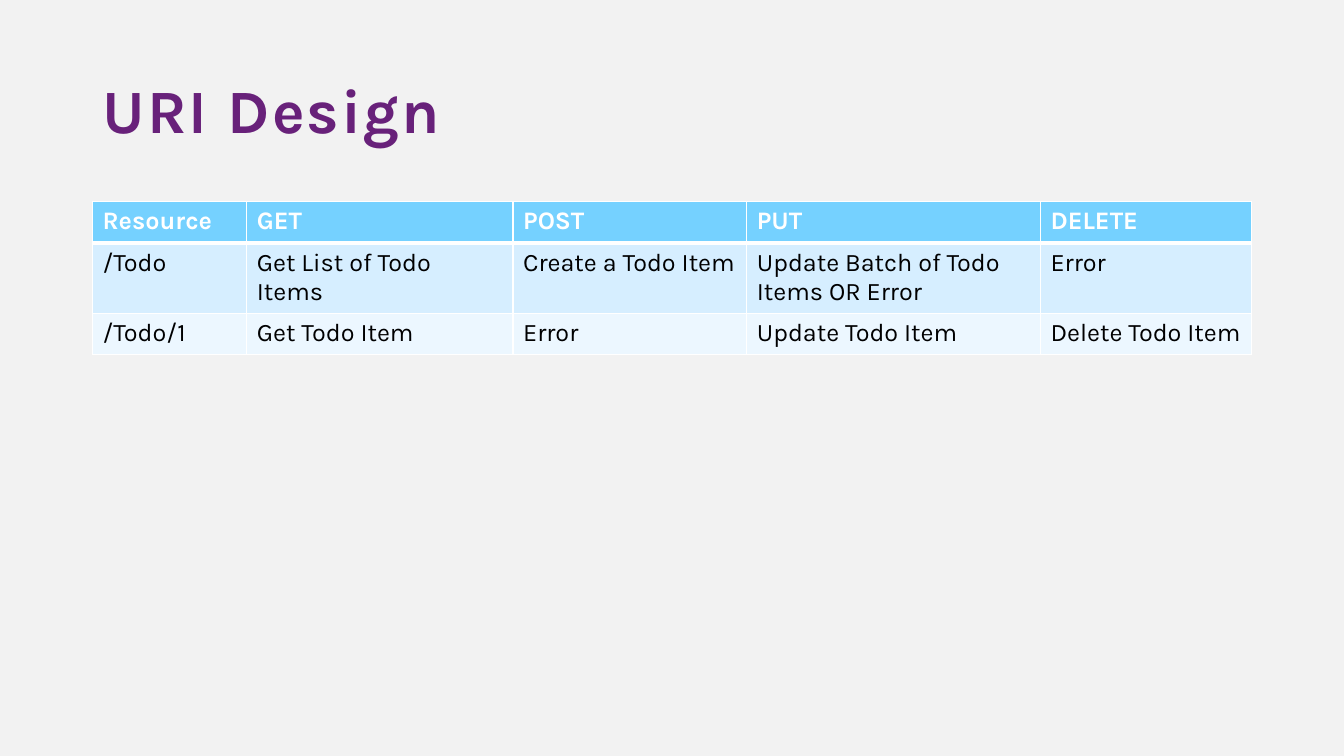
from lxml import etree
from pptx import Presentation
from pptx.dml.color import RGBColor
from pptx.enum import text
from pptx.oxml import ns
from pptx.util import Cm, Pt

FONT = "Karla"
WHITE = "FFFFFF"
ROWS = [
    ["Resource", "GET", "POST", "PUT", "DELETE"],
    ["/Todo", "Get List of Todo Items", "Create a Todo Item",
     "Update Batch of Todo Items OR Error", "Error"],
    ["/Todo/1", "Get Todo Item", "Error", "Update Todo Item", "Delete Todo Item"],
]
ROW_FILLS = ["75D1FF", "D6EEFF", "ECF7FF"]
ROW_HEIGHTS = [1.04, 1.75, 1.04]
COLUMN_WIDTHS = [3.89, 6.71, 5.89, 7.4, 5.32]


def color(value):
    return RGBColor.from_string(value)


def add_run(paragraph, content, size, font_color, bold):
    run = paragraph.add_run()
    run.text = content
    run.font.name = FONT
    run.font.size = Pt(size)
    run.font.bold = bold
    run.font.color.rgb = color(font_color)
    return run


def add_title(slide, content):
    box = slide.shapes.add_textbox(Cm(2.33), Cm(1.01), Cm(29.21), Cm(3.68))
    frame = box.text_frame
    frame.word_wrap = True
    frame.vertical_anchor = text.MSO_ANCHOR.MIDDLE
    paragraph = frame.paragraphs[0]
    paragraph.line_spacing = 0.9
    run = add_run(paragraph, content, 44, "68217A", True)
    run.font._element.set("spc", "160")


def set_border(cell, side, width):
    properties = cell._tc.get_or_add_tcPr()
    line = etree.SubElement(properties, ns.qn(f"a:ln{side}"), w=str(Pt(width)))
    fill = etree.SubElement(line, ns.qn("a:solidFill"))
    etree.SubElement(fill, ns.qn("a:srgbClr"), val=WHITE)


def style_cell(cell, content, fill_color, is_header, is_below_header):
    widths = {"L": 1, "R": 1, "T": 3 if is_below_header else 1, "B": 3 if is_header else 1}
    for side, width in widths.items():
        set_border(cell, side, width)
    cell.fill.solid()
    cell.fill.fore_color.rgb = color(fill_color)
    add_run(cell.text_frame.paragraphs[0], content, 18,
            WHITE if is_header else "000000", is_header)


def add_uri_table(slide):
    table = slide.shapes.add_table(
        len(ROWS), len(COLUMN_WIDTHS), Cm(2.33), Cm(5.08),
        Cm(sum(COLUMN_WIDTHS)), Cm(sum(ROW_HEIGHTS))).table
    for column, width in zip(table.columns, COLUMN_WIDTHS):
        column.width = Cm(width)
    for index, (row, height) in enumerate(zip(table.rows, ROW_HEIGHTS)):
        row.height = Cm(height)
        for cell, content in zip(row.cells, ROWS[index]):
            style_cell(cell, content, ROW_FILLS[index], index == 0, index == 1)


def main():
    presentation = Presentation()
    presentation.slide_width = Cm(33.87)
    presentation.slide_height = Cm(19.05)
    slide = presentation.slides.add_slide(presentation.slide_layouts[6])
    slide.background.fill.solid()
    slide.background.fill.fore_color.rgb = color("F2F2F2")
    add_title(slide, "URI Design")
    add_uri_table(slide)
    presentation.save("out.pptx")


if __name__ == "__main__":
    main()
